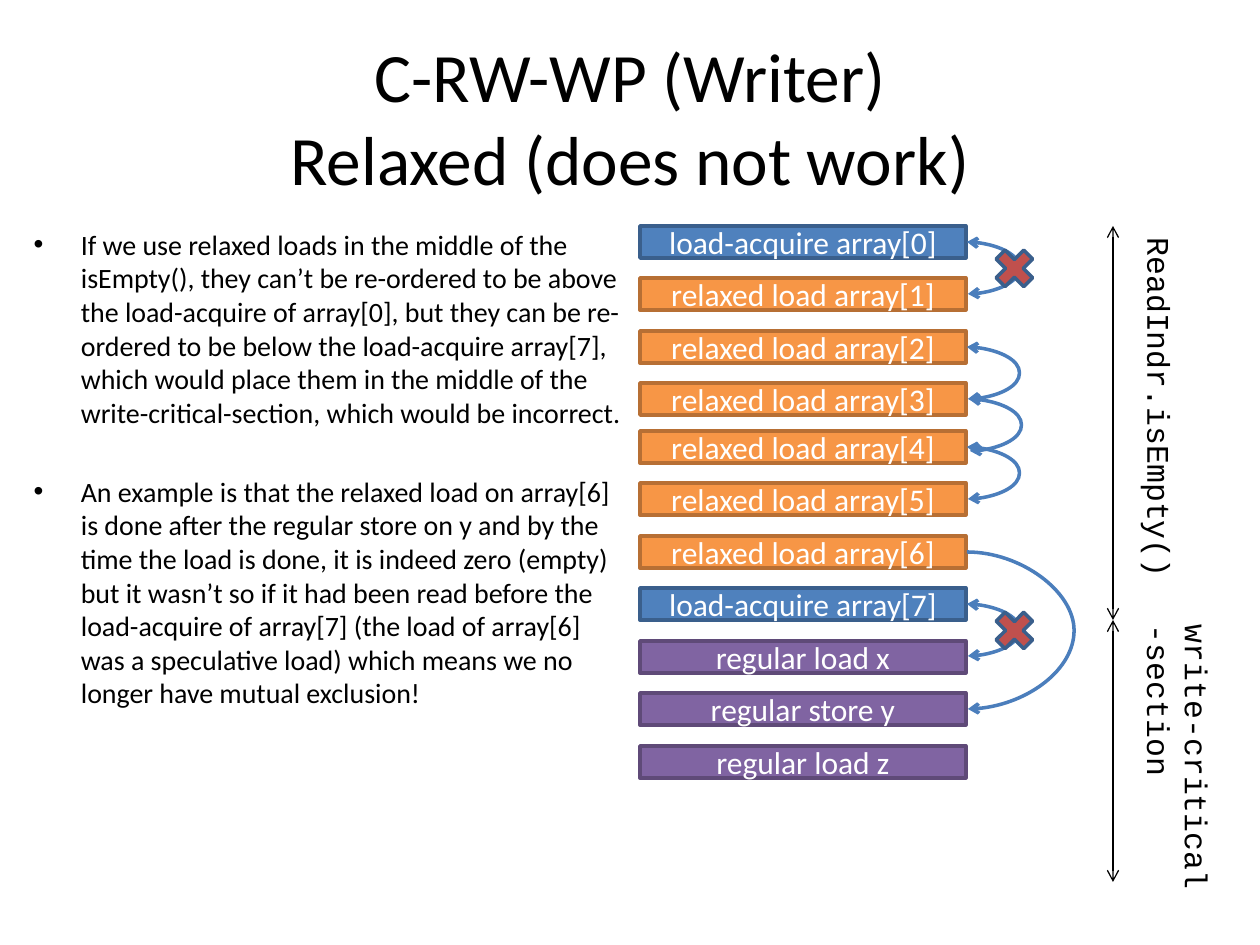
from lxml import etree
from pptx import Presentation
from pptx import util as u
from pptx.dml.color import RGBColor
from pptx.enum import shapes, text
from pptx.oxml import ns

PX = 914400 // 126
BLUE, ORANGE, PURPLE = ("4F81BD", "3A5F8C"), ("F79646", "B76F34"), ("8064A2", "5F4A78")


def colour(value):
    return RGBColor.from_string(value)


def write(box, lines, size, ink="000000", name="Calibri", **layout):
    """Put one paragraph per line in the box and format them all."""
    frame = box.text_frame
    frame.text = "\n".join(lines)
    for key, value in layout.items():
        for target in [frame] if hasattr(frame, key) else frame.paragraphs:
            setattr(target, key, value)
    for para in frame.paragraphs:
        for span in para.runs:
            for key, value in {"size": u.Pt(size), "name": name}.items():
                setattr(span.font, key, value)
            span.font.color.rgb = colour(ink)


deck = Presentation()
deck.slide_width, deck.slide_height = 1260 * PX, 945 * PX
page = deck.slides.add_slide(deck.slide_layouts[1])

# Title and explanation
title, body = page.placeholders
for holder, place in ((title, (63, 38, 1134, 157)), (body, (21, 221, 620, 624))):
    holder.left, holder.top, holder.width, holder.height = [n * PX for n in place]
write(title, ["C-RW-WP (Writer)\vRelaxed (does not work)"], 39.6,
      auto_size=text.MSO_AUTO_SIZE.NONE, vertical_anchor=text.MSO_ANCHOR.MIDDLE,
      alignment=text.PP_ALIGN.CENTER)
write(body, [
    "If we use relaxed loads in the middle of the isEmpty(), they can’t be re-ordered "
    "to be above the load-acquire of array[0], but they can be re-ordered to be below "
    "the load-acquire array[7], which would place them in the middle of the "
    "write-critical-section, which would be incorrect.",
    "An example is that the relaxed load on array[6] is done after the regular store "
    "on y and by the time the load is done, it is indeed zero (empty) but it wasn’t so "
    "if it had been read before the load-acquire of array[7] (the load of array[6] was "
    "a speculative load) which means we no longer have mutual exclusion!",
], 16, auto_size=text.MSO_AUTO_SIZE.NONE)
body.text_frame.paragraphs[1].space_before = u.Pt(26)

# Column of memory operations, the second group moved up a little
operations = [("load-acquire array[0]", BLUE)]
operations += [(f"relaxed load array[{i}]", ORANGE) for i in range(1, 7)]
operations += [("load-acquire array[7]", BLUE)]
operations += [(f"regular {name}", PURPLE) for name in ("load x", "store y", "load z")]
middles = []
for row, (label, (fill, edge)) in enumerate(operations):
    top = 226 + row * 105 // 2 - (5 if row > 3 else 0)
    middles.append(top + 16)
    bar = page.shapes.add_shape(shapes.MSO_SHAPE.RECTANGLE,
                                640 * PX, top * PX, 326 * PX, 32 * PX)
    bar.shadow.inherit = False
    bar.fill.solid()
    bar.fill.fore_color.rgb = colour(fill)
    bar.line.color.rgb = colour(edge)
    bar.line.width = u.Pt(2)
    write(bar, [label], 18, "FFFFFF", vertical_anchor=text.MSO_ANCHOR.MIDDLE,
          alignment=text.PP_ALIGN.CENTER)

# Reordering curves and section extents: kind, ends, colour, weight, bulge, arrowheads
CURVE, LINE = shapes.MSO_CONNECTOR.CURVE, shapes.MSO_CONNECTOR.STRAIGHT
both, tail = ("headEnd", "tailEnd"), ("tailEnd",)
links = [(CURVE, 967, middles[row], 968, middles[row] + 52, "4B7EBC", 2, 53, both)
         for row in (0, 2, 4, 7)]
links += [(CURVE, 969, middles[3], 970, middles[3] + 52, "4B7EBC", 2, 53, both),
          (CURVE, 967, middles[6], 968, middles[9], "4B7EBC", 2, 108, tail),
          (LINE, 1113, 226, 1113, 620, "000000", 0.75, 0, both),
          (LINE, 1113, 620, 1113, 882, "000000", 0.75, 0, both)]
for kind, x1, y1, x2, y2, ink, weight, bulge, ends in links:
    link = page.shapes.add_connector(kind, x1 * PX, y1 * PX, x2 * PX, y2 * PX)
    link.line.color.rgb = colour(ink)
    link.line.width = u.Pt(weight)
    props = link.line._get_or_add_ln()
    for end in ends:
        etree.SubElement(props, ns.qn("a:" + end), type="arrow")
    outline = props.getparent()
    etree.SubElement(outline, ns.qn("a:effectLst"))
    if bulge:
        guides = outline.find(ns.qn("a:prstGeom")).get_or_add_avLst()
        etree.SubElement(guides, ns.qn("a:gd"), name="adj1",
                         fmla=f"val {bulge * 100000 // (x2 - x1)}")

# Crosses on the forbidden reorderings
for row in (0, 7):
    cross = page.shapes.add_shape(shapes.MSO_SHAPE.MATH_MULTIPLY,
                                  988 * PX, middles[row] * PX, 53 * PX, 53 * PX)
    cross.shadow.inherit = False
    cross.fill.solid()
    cross.fill.fore_color.rgb = colour("C0504D")
    cross.line.color.rgb = colour(BLUE[1])
    cross.line.width = u.Pt(2)

# Sideways section names
for place, lines in (((966, 394, 388, 50), ["ReadIndr.isEmpty()"]),
                     ((969, 777, 418, 89), ["write-critical", "-section"])):
    box = page.shapes.add_textbox(*[n * PX for n in place])
    box.rotation = 90
    write(box, lines, 18, name="Courier New", word_wrap=True)

deck.save("out.pptx")
